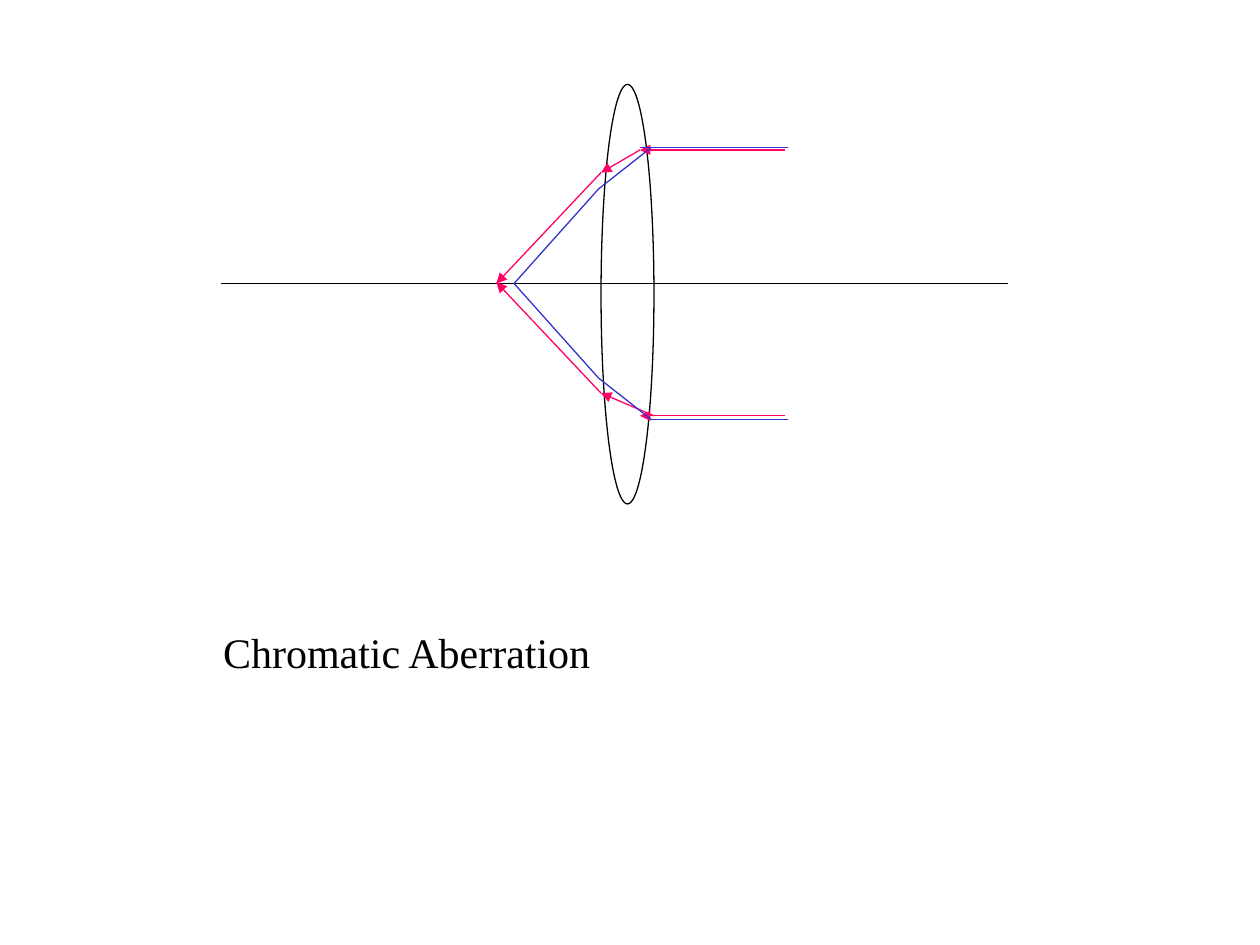
from itertools import pairwise
from lxml import etree
from pptx import Presentation
from pptx import util as u
from pptx.dml.color import RGBColor
from pptx.enum import shapes, text
from pptx.oxml.ns import qn

LABEL = "Chromatic Aberration"
BLACK, RED, BLUE = "000000", "FF0066", "3333CC"
LENS = (4.77, 0.67, 0.42, 3.33)
AXIS = [(1.75, 2.25), (8, 2.25)]
RED_RAYS = [
    [(6.23, 3.3), (5.08, 3.3)],
    [(5.19, 3.3), (4.77, 3.12), (3.94, 2.24)],
    [(6.23, 1.19), (5.08, 1.19), (4.77, 1.37), (3.94, 2.25)],
]
BLUE_RAYS = [
    [(6.25, 1.17), (5.08, 1.17)],
    [(5.17, 1.17), (4.75, 1.5), (4.08, 2.25)],
    [(6.25, 3.33), (5.17, 3.33), (4.75, 3), (4.08, 2.25)],
]


def ink(line, color):
    line.color.rgb = RGBColor.from_string(color)
    line.width = u.Pt(0.75)


def trace(home, points, color, arrow=False):
    for start, end in pairwise(points):
        ends = [u.Inches(v) for v in start + end]
        ray = home.add_connector(shapes.MSO_CONNECTOR.STRAIGHT, *ends)
        ink(ray.line, color)
        if arrow:
            etree.SubElement(ray.line._get_or_add_ln(), qn("a:tailEnd"), type="triangle")
        etree.SubElement(ray._element.spPr, qn("a:effectLst"))


def caption(slide):
    title, body = slide.placeholders
    title._element.getparent().remove(title._element)
    body.left, body.top = u.Inches(1.67), u.Inches(4.92)
    body.width, body.height = u.Inches(7.58), u.Inches(2.25)
    frame = body.text_frame
    frame.auto_size = text.MSO_AUTO_SIZE.NONE
    para = frame.paragraphs[0]
    para.space_before = u.Pt(6)
    props = para._p.get_or_add_pPr()
    props.set("marL", str(u.Inches(0.38)))
    props.set("indent", str(u.Inches(-0.38)))
    etree.SubElement(props, qn("a:buNone"))
    run = para.add_run()
    run.text = LABEL
    run.font.name, run.font.size = "Times New Roman", u.Pt(24)
    run.font.color.rgb = RGBColor.from_string(BLACK)


def main():
    """Build the slide on chromatic aberration in a lens."""
    deck = Presentation()
    deck.slide_width, deck.slide_height = u.Inches(10), u.Inches(7.5)
    slide = deck.slides.add_slide(deck.slide_layouts[1])
    caption(slide)

    group = slide.shapes.add_group_shape().shapes
    lens = group.add_shape(shapes.MSO_SHAPE.OVAL, *map(u.Inches, LENS))
    lens.shadow.inherit = False
    lens.fill.background()
    ink(lens.line, BLACK)
    trace(group, AXIS, BLACK)
    for points in RED_RAYS:
        trace(group, points, RED, arrow=True)
    for points in BLUE_RAYS:
        trace(slide.shapes, points, BLUE)
    deck.save("out.pptx")


if __name__ == "__main__":
    main()
